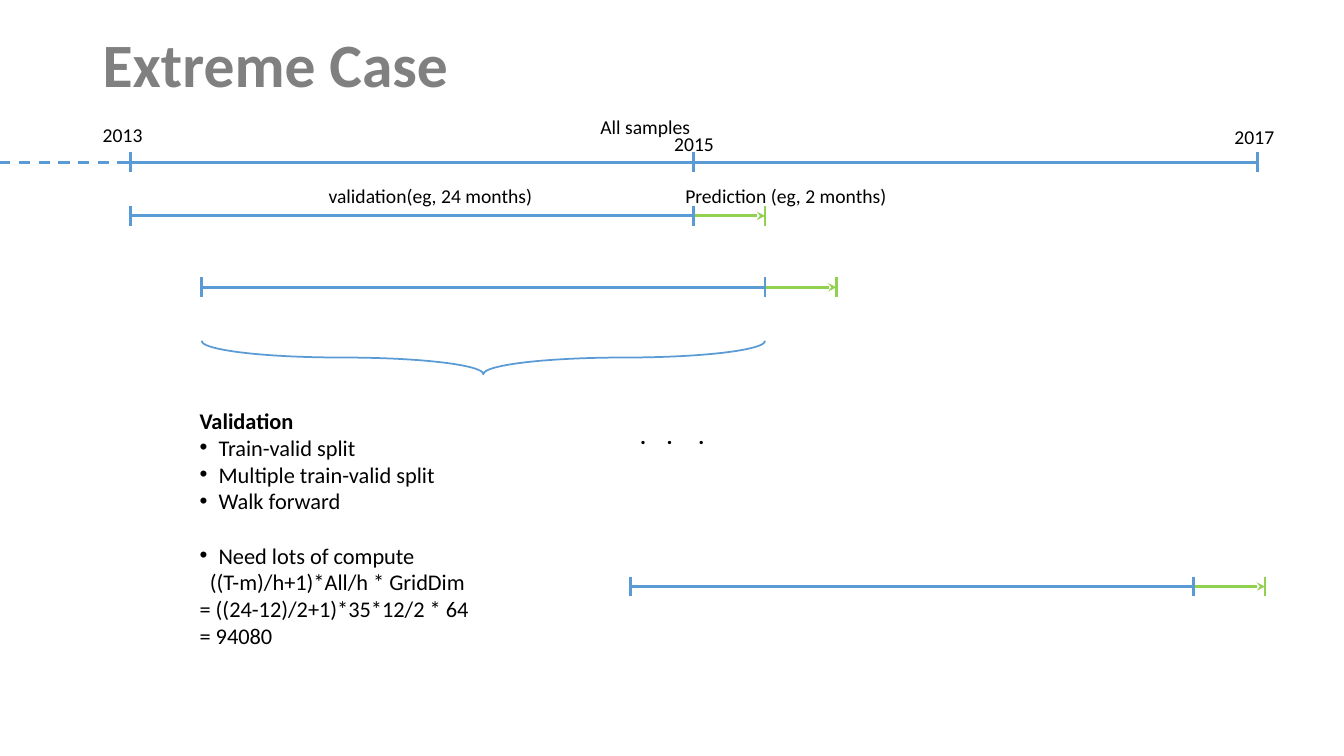
from pptx import Presentation
from pptx.dml.color import RGBColor
from pptx.enum.dml import MSO_LINE
from pptx.enum.shapes import MSO_CONNECTOR, MSO_SHAPE
from pptx.enum.text import MSO_ANCHOR
from pptx.oxml.ns import qn
from pptx.util import Cm, Pt
from lxml.etree import SubElement

DASH = MSO_LINE.DASH
STRAIGHT = MSO_CONNECTOR.STRAIGHT
BRACE = MSO_SHAPE.RIGHT_BRACE
MIDDLE = MSO_ANCHOR.MIDDLE
BLUE = RGBColor(0x5B, 0x9B, 0xD5)
GREEN = RGBColor(0x92, 0xD0, 0x50)
GREY = RGBColor(0x80, 0x80, 0x80)
BLACK = RGBColor(0, 0, 0)

START = 3.28
SPAN = 14.2
STEP = 1.8
TICK = 0.5

TITLE = {"size": Pt(44), "bold": True}
LABEL = {"size": Pt(14), "bold": False}
HEAD = {"size": Pt(16), "bold": True}
BODY = {"size": Pt(16), "bold": False}


def style(item, form):
    """Set each value of a format dict on an item."""
    for key, value in form.items():
        setattr(item, key, value)


def write(para, text, form, color=BLACK):
    """Fill a paragraph with one styled run."""
    run = para.add_run()
    run.text = text
    style(run.font, {"name": "Calibri", **form})
    run.font.color.rgb = color


def frame(slide, box):
    """Add a wrapping text box and return its text frame."""
    text = slide.shapes.add_textbox(*map(Cm, box)).text_frame
    text.word_wrap = True
    return text


def label(slide, box, text):
    """Add a small one-line label."""
    write(frame(slide, box).paragraphs[0], text, LABEL)


def rule(slide, ends, color=BLUE, arrow=False):
    """Draw a straight line, with an arrowhead if asked."""
    line = slide.shapes.add_connector(STRAIGHT, *map(Cm, ends))
    line.line.color.rgb = color
    line.line.width = Pt(2)
    props = line._element.spPr
    if arrow:
        SubElement(props.find(qn("a:ln")), qn("a:tailEnd"), type="stealth")
    SubElement(props, qn("a:effectLst"))
    return line


def tick(slide, x, y, color=BLUE):
    """Draw a short upright mark centred on a point."""
    rule(slide, (x, y - TICK / 2, x, y + TICK / 2), color)


def title(slide, box):
    """Place the slide title."""
    text = frame(slide, box)
    text.vertical_anchor = MIDDLE
    text.paragraphs[0].line_spacing = 0.9
    write(text.paragraphs[0], "Extreme Case", TITLE, GREY)


def scale(slide, x, y):
    """Draw the time line of all samples with its year marks."""
    rule(slide, (x, y, x + 2 * SPAN, y))
    rule(slide, (x - 3.8, y, x, y)).line.dash_style = DASH
    label(slide, (x + 11.6, y - 1.32, 5.94, 0.86), "All samples")
    years = (("2013", -0.94, -1.12), ("2015", -0.74, -0.89),
             ("2017", -0.82, -1.07))
    for i, (year, dx, dy) in enumerate(years):
        mark = x + i * SPAN
        tick(slide, mark, y)
        label(slide, (mark + dx, y + dy, 2.16, 0.86), year)


def window(slide, x, y):
    """Draw one validation span followed by its prediction arrow."""
    mid, end = x + SPAN, x + SPAN + STEP
    rule(slide, (x, y, mid, y))
    rule(slide, (mid, y, end, y), GREEN, True)
    tick(slide, x, y)
    tick(slide, mid, y)
    tick(slide, end, y, GREEN)


def brace(slide, x, y, wide, high):
    """Draw a downward brace that fills the given box."""
    left, top = x + (wide - high) / 2, y + (high - wide) / 2
    shape = slide.shapes.add_shape(BRACE, *map(Cm, (left, top, high, wide)))
    shape.rotation = 90
    shape.adjustments[0] = 4.27
    shape.shadow.inherit = False
    shape.fill.background()
    shape.line.color.rgb = BLUE
    shape.line.width = Pt(1.25)


def notes(slide, box):
    """Write the validation list and the compute estimate."""
    text = frame(slide, box)
    write(text.paragraphs[0], "Validation", HEAD)
    points = ("Train-valid split", "Multiple train-valid split",
              "Walk forward", "Need lots of compute")
    for point in points:
        para = text.add_paragraph()
        write(para, point, BODY)
        props = para._p.get_or_add_pPr()
        props.set("marL", str(Cm(0.48)))
        props.set("indent", str(-Cm(0.48)))
        SubElement(props, qn("a:buFont"), typeface="Arial")
        SubElement(props, qn("a:buChar"), char="•")
    para.space_before = Pt(19.5)
    sums = ("((T-m)/h+1)*All/h * GridDim",
            "= ((24-12)/2+1)*35*12/2 * 64", "= 94080")
    for i, line in enumerate(sums):
        para = text.add_paragraph()
        write(para, line, BODY)
        if i == 0:
            para._p.get_or_add_pPr().set("marL", str(Cm(0.26)))


def dots(slide, box):
    """Write three dots spaced by tab stops."""
    para = frame(slide, box).paragraphs[0]
    write(para, ".\t.\t.", HEAD)
    tabs = SubElement(para._p.get_or_add_pPr(), qn("a:tabLst"))
    for stop in (0.67, 1.47):
        SubElement(tabs, qn("a:tab"), pos=str(Cm(stop)), algn="l")


def main():
    """Build and save the slide."""
    deck = Presentation()
    style(deck, {"slide_width": Cm(33.87), "slide_height": Cm(19.05)})
    slide = deck.slides.add_slide(deck.slide_layouts[6])
    title(slide, (2.34, 1.02, 29.21, 1.37))
    scale(slide, START, 4.09)
    for steps, y in ((0, 5.44), (1, 7.24), (7, 14.78)):
        window(slide, START + steps * STEP, y)
    label(slide, (8.03, 4.5, 9.68, 1.45), "validation(eg, 24 months)")
    label(slide, (17.02, 4.5, 9.68, 1.45), "Prediction (eg, 2 months)")
    brace(slide, START + STEP, 8.59, SPAN, 0.84)
    notes(slide, (4.78, 10.13, 11.07, 8.46))
    dots(slide, (15.88, 10.52, 11.07, 1.63))
    deck.save("out.pptx")


if __name__ == "__main__":
    main()
